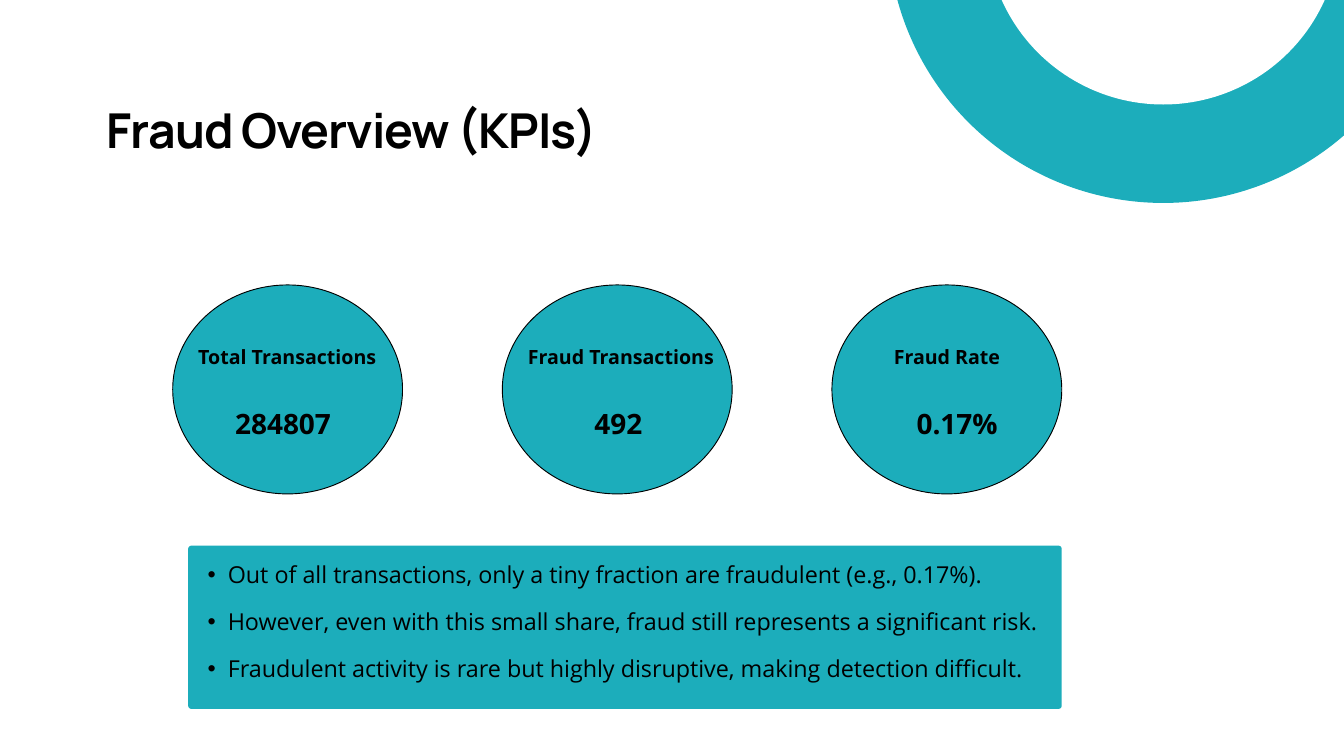
from lxml.etree import SubElement
from pptx import Presentation
from pptx.dml.color import RGBColor
from pptx.enum.shapes import MSO_SHAPE
from pptx.oxml.ns import qn
from pptx.util import Inches, Pt

TEAL = RGBColor(0x1C, 0xAD, 0xBB)
WHITE = RGBColor(0xFF, 0xFF, 0xFF)
BLACK = RGBColor(0x00, 0x00, 0x00)
TITLE_FONT = "Manrope"
BODY_FONT = "Open Sans"

# Content
TITLE = "Fraud Overview (KPIs)"
# Label and value, each as text, indent inside the oval, box width
KPIS = [
    (("Total Transactions", 0.38, 2.86), ("284807", 0.93, 1.57)),
    (("Fraud Transactions", 0.38, 2.86), ("492", 1.37, 0.88)),
    (("Fraud Rate", 0.92, 1.71), ("0.17%", 1.26, 1.24)),
]
FINDINGS = [
    "Out of all transactions, only a tiny fraction are fraudulent (e.g., 0.17%).",
    "However, even with this small share, fraud still represents a significant risk.",
    "Fraudulent activity is rare but highly disruptive, making detection difficult.",
]

# Layout, in inches
RING_CENTER = (17.31, -1.08)
RING_DISCS = [(8.2, TEAL), (5.27, WHITE)]
KPI_LEFT, KPI_TOP, KPI_PITCH = 2.57, 4.24, 4.905
KPI_WIDTH, KPI_HEIGHT = 3.42, 3.11
PANEL_LEFT, PANEL_TOP, PANEL_WIDTH, PANEL_HEIGHT = 2.8, 8.12, 13, 2.43
FINDING_TOP, FINDING_PITCH = 8.27, 0.7


def add_filled_shape(slide, preset, left, top, width, height, color, outlined=False):
    shape = slide.shapes.add_shape(
        preset, Inches(left), Inches(top), Inches(width), Inches(height))
    shape.shadow.inherit = False
    shape.fill.solid()
    shape.fill.fore_color.rgb = color
    if outlined:
        shape.line.color.rgb = BLACK
        shape.line.width = Pt(1)
    else:
        shape.line.fill.background()
    return shape


def add_text(slide, text, left, top, width, height, size, line_spacing,
             font=BODY_FONT, bold=True, bullet=False, tracking=None):
    box = slide.shapes.add_textbox(
        Inches(left), Inches(top), Inches(width), Inches(height))
    frame = box.text_frame
    frame.word_wrap = True
    frame.margin_left = frame.margin_top = frame.margin_right = frame.margin_bottom = 0
    paragraph = frame.paragraphs[0]
    paragraph.line_spacing = Pt(line_spacing)
    if bullet:
        paragraph.level = 1
        properties = paragraph._p.get_or_add_pPr()
        properties.set("marL", str(Inches(0.59)))
        properties.set("indent", str(Inches(-0.3)))
        SubElement(properties, qn("a:buFont"), typeface="Arial")
        SubElement(properties, qn("a:buChar"), char="•")
    run = paragraph.add_run()
    run.text = text
    run.font.name = font
    run.font.size = Pt(size)
    run.font.bold = bold
    run.font.color.rgb = BLACK
    if tracking is not None:
        run._r.get_or_add_rPr().set("spc", str(round(tracking * 100)))


def main():
    presentation = Presentation()
    presentation.slide_width = Inches(20)
    presentation.slide_height = Inches(11.25)
    slide = presentation.slides.add_slide(presentation.slide_layouts[6])

    # Corner ring
    center_x, center_y = RING_CENTER
    for diameter, color in RING_DISCS:
        add_filled_shape(slide, MSO_SHAPE.OVAL, center_x - diameter / 2,
                         center_y - diameter / 2, diameter, diameter, color)

    # KPI ovals
    for index, (label, value) in enumerate(KPIS):
        left = KPI_LEFT + index * KPI_PITCH
        add_filled_shape(slide, MSO_SHAPE.OVAL, left, KPI_TOP,
                         KPI_WIDTH, KPI_HEIGHT, TEAL, outlined=True)
        text, indent, width = label
        add_text(slide, text, left + indent, KPI_TOP + 0.83, width, 0.38, 21, 29.4)
        text, indent, width = value
        add_text(slide, text, left + indent, KPI_TOP + 1.72, width, 0.53, 30, 42)

    # Title
    add_text(slide, TITLE, 1.59, 1.54, 11.77, 0.87, 51.5, 58.7,
             font=TITLE_FONT, tracking=-1.1)

    # Findings panel
    panel = add_filled_shape(slide, MSO_SHAPE.ROUNDED_RECTANGLE, PANEL_LEFT, PANEL_TOP,
                             PANEL_WIDTH, PANEL_HEIGHT, TEAL)
    panel.adjustments[0] = 0.02
    for index, finding in enumerate(FINDINGS):
        add_text(slide, finding, PANEL_LEFT, FINDING_TOP + index * FINDING_PITCH,
                 PANEL_WIDTH, 0.46, 25, 35, bold=False, bullet=True)

    presentation.save("out.pptx")


if __name__ == "__main__":
    main()
